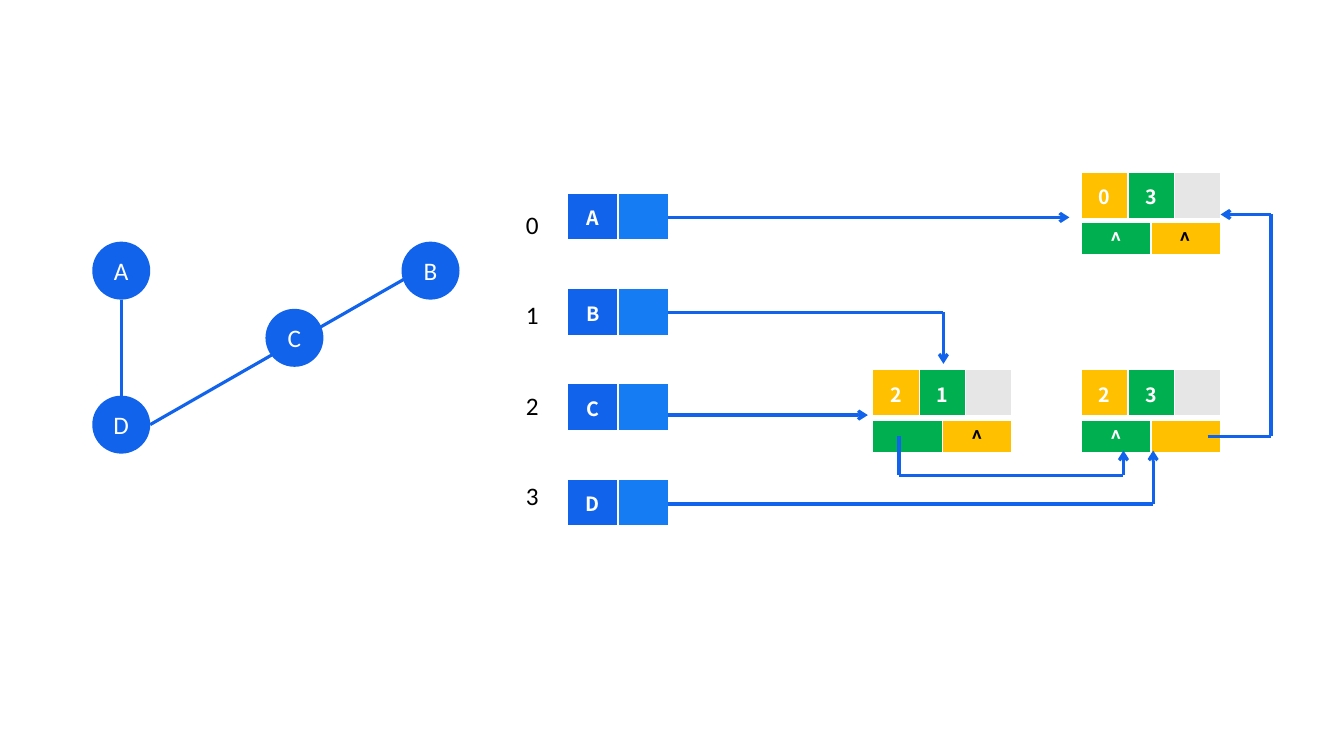
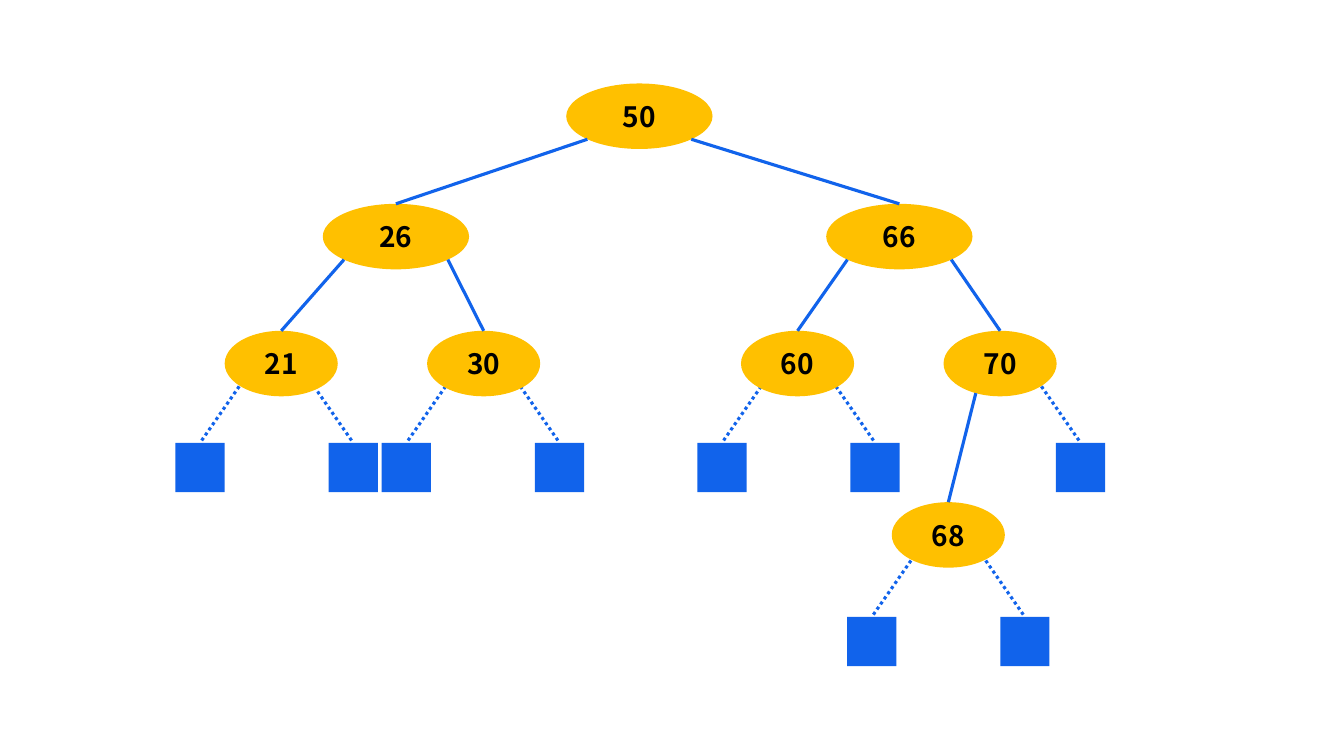
from dataclasses import dataclass
from math import sqrt

from lxml import etree
from pptx import Presentation
from pptx.dml.color import RGBColor
from pptx.enum import dml, shapes, text
from pptx.oxml import ns
from pptx.util import Pt


@dataclass(frozen=True)
class Theme:
    blue: str = "1163EB"
    light_blue: str = "157CF3"
    amber: str = "FFC000"
    green: str = "00B050"
    gray: str = "E7E6E6"
    white: str = "FFFFFF"
    black: str = "000000"
    body_font: str = "Calibri"
    node_font: str = "Noto Sans CJK SC"
    cell_size: float = 14
    label_size: float = 18
    tree_size: float = 20
    line_width: float = 2.25


THEME = Theme()

# Adjacency multilist: lengths in points
VERTEX_SIZE = 41.4
VERTICES = {"A": (86.6, 193.3), "B": (307.5, 193.3), "D": (86.6, 303.3), "C": (210.3, 241.3)}
LONG_EDGE = [(288.7, 199.4), (107.3, 303.3)]

HEAD_LEFT, HEAD_TOP, HEAD_PITCH = 405.4, 138.2, 68
HEAD_WIDTH, HEAD_HEIGHT = 72, 34.2
HEADS = ["A", "B", "C", "D"]

EDGE_WIDTH, EDGE_HEIGHT = 99.2, 33.7
LINK_OFFSET, LINK_HEIGHT = 36, 23.8
EDGE_NODES = [  # left, top, vertex indices, (link, colour) pairs
    (772.6, 123.1, ("0", "3"), (("^", THEME.white), ("^", THEME.black))),
    (623.5, 264.2, ("2", "1"), (("", THEME.white), ("^", THEME.black))),
    (772.6, 264.2, ("2", "3"), (("^", THEME.white), ("", THEME.black))),
]
HEAD_RIGHT = HEAD_LEFT + HEAD_WIDTH
ROUTES = [
    [(HEAD_RIGHT, 155.3), (763.9, 155.3)],
    [(HEAD_RIGHT, 223.2), (673.9, 223.2), (673.9, 259.9)],
    [(HEAD_RIGHT, 296.5), (619.9, 296.5)],
    [(862.6, 311.8), (907.9, 311.8), (907.9, 153.2), (871.9, 153.2)],
    [(642.2, 311.8), (642.2, 339.6), (802.5, 339.6), (802.5, 321.8)],
    [(HEAD_RIGHT, 360), (823.7, 360), (823.7, 321.8)],
]

# Search tree: lengths in points
NODE_HEIGHT, WIDE, NARROW = 46.8, 104.5, 80.8
NODES = {  # centre x, top, width
    "50": (456.7, 59.6, WIDE),
    "26": (282.8, 145.6, WIDE),
    "66": (642.4, 145.6, WIDE),
    "21": (200.9, 236.3, NARROW),
    "30": (345.5, 236.3, NARROW),
    "60": (569.7, 236.3, NARROW),
    "70": (714.4, 236.3, NARROW),
    "68": (677.4, 358.7, NARROW),
}
DIAGONAL = 0.71
BRANCHES = [  # parent, child, start as a share of the parent's half width
    ("50", "26", -DIAGONAL), ("50", "66", DIAGONAL),
    ("26", "21", -DIAGONAL), ("26", "30", DIAGONAL),
    ("66", "60", -DIAGONAL), ("66", "70", DIAGONAL),
    ("70", "68", -0.43),
]
LEAF_SIZE, LEAF_REACH = 35.2, 54.7
STUB_RUN, STUB_RISE = 28, 40.3
LEAVES = [  # centre x of the pair, top, sides present
    (197.6, 316.3, (-1, 1)),
    (345, 316.3, (-1, 1)),
    (570.4, 316.3, (-1, 1)),
    (717.2, 316.3, (1,)),
    (677.4, 440.7, (-1, 1)),
]


def color(value):
    return RGBColor.from_string(value)


def set_font(paragraph, name, size, value, bold=False):
    font = paragraph.font
    font.name, font.size, font.bold = name, Pt(size), bold
    font.color.rgb = color(value)
    paragraph.alignment = text.PP_ALIGN.CENTER


def add_filled(slide, kind, center_x, top, width, height, fill):
    shape = slide.shapes.add_shape(kind, Pt(center_x - width / 2), Pt(top), Pt(width), Pt(height))
    shape.shadow.inherit = False
    shape.fill.solid()
    shape.fill.fore_color.rgb = color(fill)
    shape.line.fill.background()
    return shape


def add_ellipse(slide, label, center_x, top, width, height, fill, **font):
    shape = add_filled(slide, shapes.MSO_SHAPE.OVAL, center_x, top, width, height, fill)
    frame = shape.text_frame
    frame.margin_left = frame.margin_right = frame.margin_top = frame.margin_bottom = 0
    frame.vertical_anchor = text.MSO_ANCHOR.MIDDLE
    frame.text = label
    set_font(frame.paragraphs[0], **font)
    return shape


def add_line(slide, start, end, dotted=False, arrow=False):
    points = [Pt(value) for value in (*start, *end)]
    connector = slide.shapes.add_connector(shapes.MSO_CONNECTOR.STRAIGHT, *points)
    connector.line.color.rgb = color(THEME.blue)
    connector.line.width = Pt(THEME.line_width)
    if dotted:
        connector.line.dash_style = dml.MSO_LINE.ROUND_DOT
    properties = connector._element.spPr
    if arrow:
        etree.SubElement(properties.find(ns.qn("a:ln")), ns.qn("a:tailEnd"), type="arrow")
    etree.SubElement(properties, ns.qn("a:effectLst"))
    return connector


def add_route(slide, points):
    """Draw straight segments through the points, with an arrowhead on the last."""
    last = len(points) - 2
    for index, (start, end) in enumerate(zip(points, points[1:])):
        add_line(slide, start, end, arrow=index == last)


def set_borders(cell):
    properties = cell._tc.get_or_add_tcPr()
    for index, (side, width) in enumerate((("L", 1), ("R", 1), ("T", 1), ("B", 3))):
        border = etree.Element(ns.qn(f"a:ln{side}"), w=str(Pt(width)))
        fill = etree.SubElement(border, ns.qn("a:solidFill"))
        etree.SubElement(fill, ns.qn("a:srgbClr"), val=THEME.white)
        properties.insert(index, border)


def add_cells(slide, left, top, width, height, cells):
    """Add a one-row table with equal columns from (label, fill, text colour) cells."""
    table = slide.shapes.add_table(1, len(cells), Pt(left), Pt(top), Pt(width), Pt(height)).table
    table.first_row = table.horz_banding = False
    for index, (label, fill, value) in enumerate(cells):
        table.columns[index].width = Pt(width / len(cells))
        cell = table.cell(0, index)
        cell.margin_top = cell.margin_bottom = 0
        cell.vertical_anchor = text.MSO_ANCHOR.MIDDLE
        cell.fill.solid()
        cell.fill.fore_color.rgb = color(fill)
        set_borders(cell)
        cell.text = label
        set_font(cell.text_frame.paragraphs[0], THEME.node_font, THEME.cell_size, value, bold=True)


def add_index_labels(slide):
    box = slide.shapes.add_textbox(Pt(368), Pt(135.4), Pt(24.5), Pt(236))
    frame = box.text_frame
    frame.word_wrap = True
    frame.margin_left = frame.margin_right = 0
    for index in range(len(HEADS)):
        paragraph = frame.add_paragraph() if index else frame.paragraphs[0]
        paragraph.text = str(index)
        paragraph.line_spacing = 1.5
        if index:
            paragraph.space_before = Pt(32)
        set_font(paragraph, THEME.body_font, THEME.label_size, THEME.black)


def build_multilist(slide):
    add_line(slide, *LONG_EDGE)
    vertices = {}
    for label, (x, y) in VERTICES.items():
        vertices[label] = add_ellipse(
            slide, label, x, y - VERTEX_SIZE / 2, VERTEX_SIZE, VERTEX_SIZE, THEME.blue,
            name=THEME.body_font, size=THEME.label_size, value=THEME.white)
    x, y = VERTICES["A"]
    short_edge = add_line(slide, (x, y + VERTEX_SIZE / 2), VERTICES["D"])
    short_edge.end_connect(vertices["D"], 0)

    for index, label in enumerate(HEADS):
        cells = [(label, THEME.blue, THEME.white), ("", THEME.light_blue, THEME.white)]
        add_cells(slide, HEAD_LEFT, HEAD_TOP + index * HEAD_PITCH, HEAD_WIDTH, HEAD_HEIGHT, cells)
    add_index_labels(slide)

    for left, top, indices, links in EDGE_NODES:
        cells = [(label, fill, THEME.white) for label, fill in
                 zip((*indices, ""), (THEME.amber, THEME.green, THEME.gray))]
        add_cells(slide, left, top, EDGE_WIDTH, EDGE_HEIGHT, cells)
        cells = [(label, fill, value) for (label, value), fill in
                 zip(links, (THEME.green, THEME.amber))]
        add_cells(slide, left, top + LINK_OFFSET, EDGE_WIDTH, LINK_HEIGHT, cells)
    for points in ROUTES:
        add_route(slide, points)


def build_tree(slide):
    for center, top, sides in LEAVES:
        for side in sides:
            x = center + side * LEAF_REACH
            leaf = add_filled(slide, shapes.MSO_SHAPE.RECTANGLE, x, top, LEAF_SIZE, LEAF_SIZE,
                              THEME.blue)
            stub = add_line(slide, (x - side * STUB_RUN, top - STUB_RISE), (x, top), dotted=True)
            stub.end_connect(leaf, 0)

    ellipses = {
        label: add_ellipse(slide, label, x, top, width, NODE_HEIGHT, THEME.amber,
                           name=THEME.node_font, size=THEME.tree_size,
                           value=THEME.black, bold=True)
        for label, (x, top, width) in NODES.items()
    }
    for parent, child, share in BRANCHES:
        x, top, width = NODES[parent]
        start = (x + share * width / 2, top + NODE_HEIGHT / 2 * (1 + sqrt(1 - share ** 2)))
        branch = add_line(slide, start, NODES[child][:2])
        branch.end_connect(ellipses[child], 0)


def main():
    presentation = Presentation()
    presentation.slide_width, presentation.slide_height = Pt(960), Pt(540)
    blank = presentation.slide_layouts[6]
    for build in (build_multilist, build_tree):
        build(presentation.slides.add_slide(blank))
    presentation.save("out.pptx")


if __name__ == "__main__":
    main()
